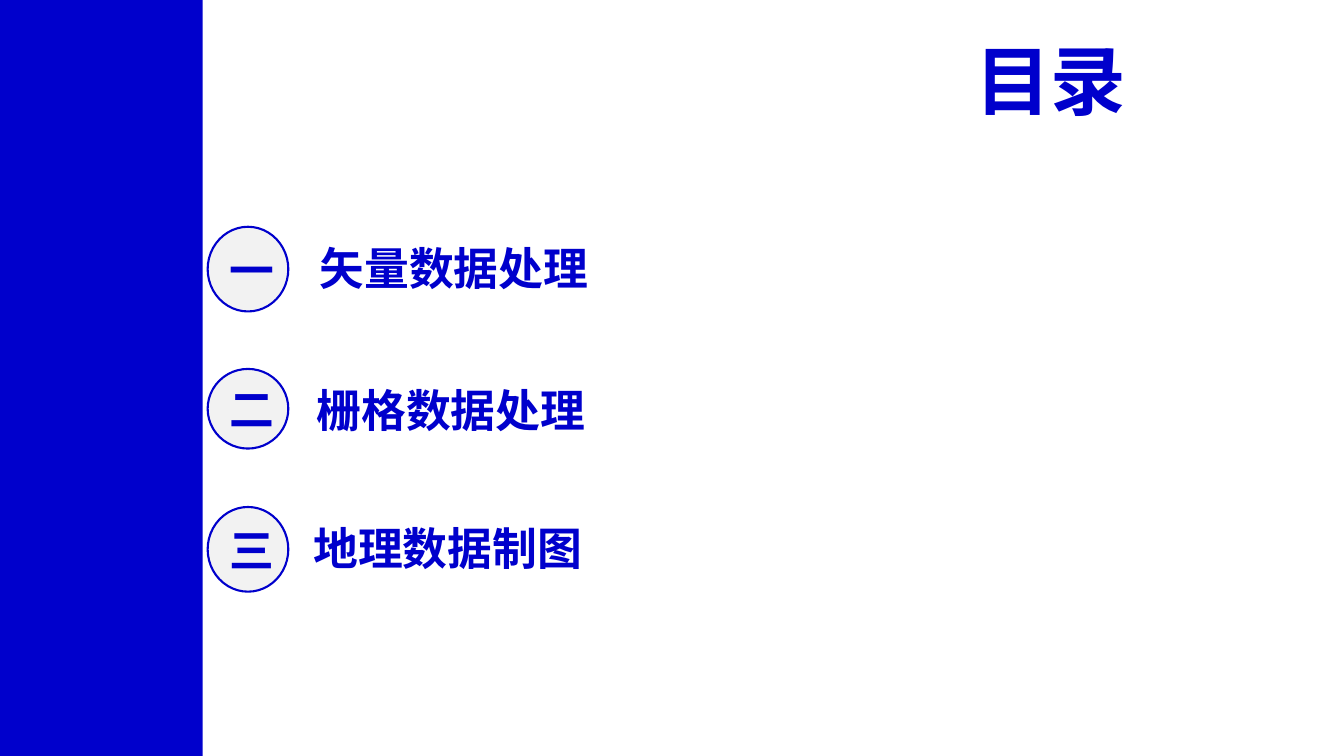
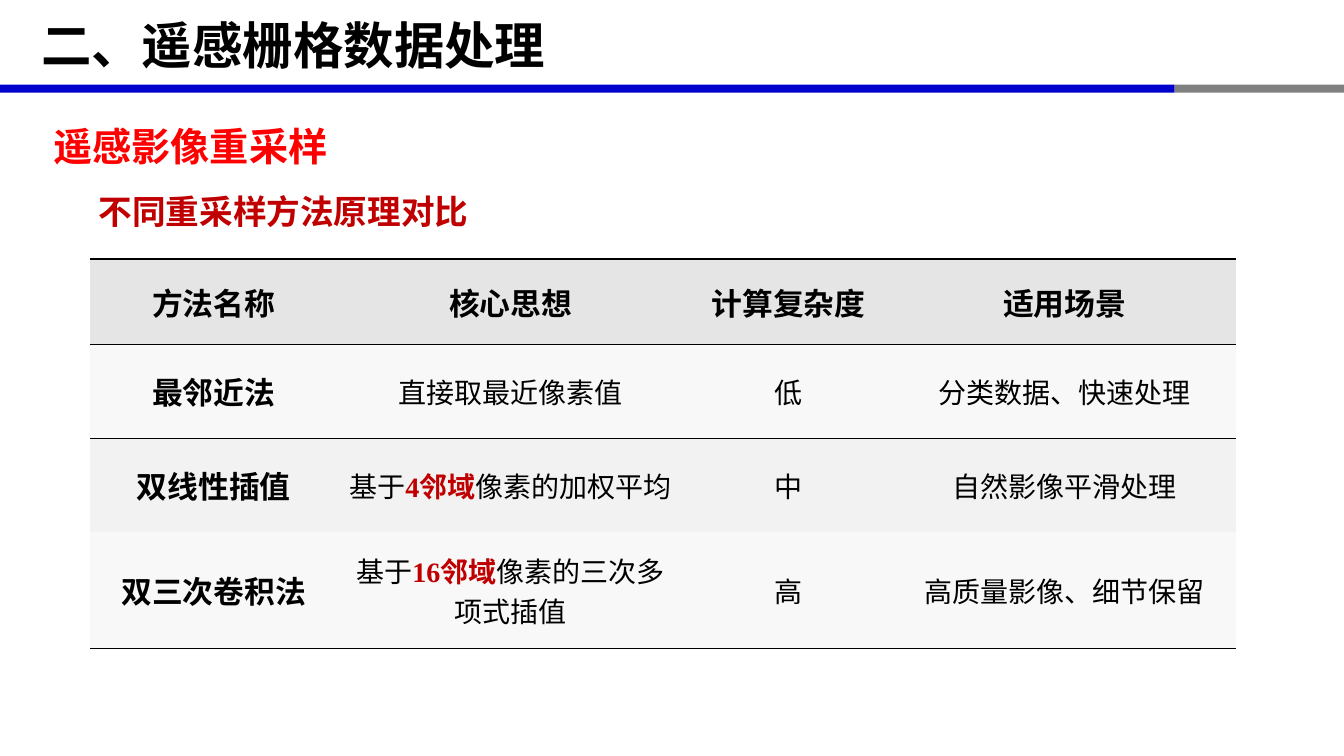
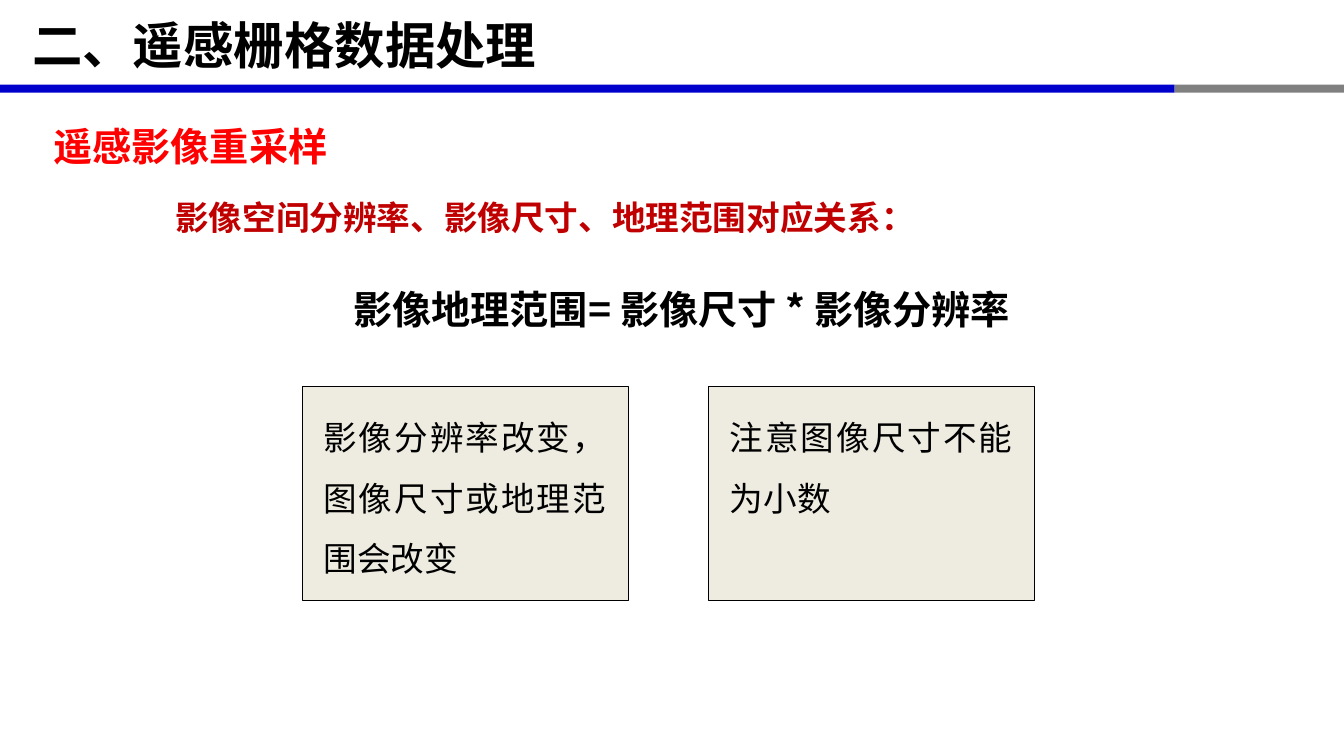
"""Build three slides on vector and raster data processing."""
from dataclasses import dataclass

from lxml.etree import SubElement
from pptx import Presentation
from pptx.dml.color import RGBColor as Rgb
from pptx.enum.shapes import MSO_SHAPE as Shape
from pptx.enum.text import MSO_ANCHOR as Anchor, MSO_AUTO_SIZE as Fit, PP_ALIGN as Align
from pptx.oxml.ns import qn
from pptx.util import Emu, Pt


@dataclass(frozen=True)
class Theme:
    blue: str = "0000CC"
    gray: str = "808080"
    black: str = "000000"
    red: str = "FF0000"
    crimson: str = "C00000"
    badge: str = "F2F2F2"
    card: str = "EEECE1"
    header_row: str = "E5E5E5"
    body_rows: tuple = ("F8F8F8", "F2F2F2")
    cjk: str = "Noto Sans CJK SC"
    sans: str = "Arial"
    serif: str = "Times New Roman"
    cover: int = 54
    title: int = 36
    agenda: int = 32
    topic: int = 28
    body: int = 24
    table_head: int = 22
    table_body: int = 20


THEME = Theme()
PX = 9144
NO_STYLE_TABLE = "{2D5ABB26-0587-4C30-8999-92F81FD0307C}"


def place(page, area, kind=None, fill=None, line=None, weight=0.75):
    """Add a preset shape, or a text box when no kind is given."""
    spot = [Emu(value * PX) for value in area]
    if kind is None:
        box = page.shapes.add_textbox(*spot)
        box.text_frame.word_wrap = True
        box.text_frame.auto_size = Fit.SHAPE_TO_FIT_TEXT
        return box
    box = page.shapes.add_shape(kind, *spot)
    box.shadow.inherit = False
    box.fill.solid()
    box.fill.fore_color.rgb = Rgb.from_string(fill)
    if line:
        box.line.color.rgb = Rgb.from_string(line)
        box.line.width = Pt(weight)
    else:
        box.line.fill.background()
    return box


def write(frame, parts, size, color=THEME.black, bold=True, align=Align.LEFT,
          face=THEME.cjk, spacing=None, anchor=None):
    """Fill one paragraph; every second part is emphasised."""
    para = frame.paragraphs[0]
    para.alignment = align
    if spacing:
        para.line_spacing = spacing
    if anchor is not None:
        frame.vertical_anchor = anchor
    font = para.font
    font.size, font.bold, font.name = Pt(size), bold, face
    font.color.rgb = Rgb.from_string(color)
    SubElement(font._element, qn("a:ea")).set("typeface", THEME.cjk)
    for index, part in enumerate(parts):
        span = para.add_run()
        span.text = part
        if index % 2:
            span.font.bold = True
            span.font.color.rgb = Rgb.from_string(THEME.crimson)


deck = Presentation()
deck.slide_width, deck.slide_height = Emu(1333 * PX), Emu(750 * PX)
blank = deck.slide_layouts[6]
agenda_page, table_page, relation_page = [deck.slides.add_slide(blank) for _ in range(3)]

place(agenda_page, (0, 0, 201, 750), Shape.RECTANGLE, THEME.blue)
heading = place(agenda_page, (951, 29, 176, 101))
heading.text_frame.word_wrap = False
write(heading.text_frame, ["目录"], THEME.cover, THEME.blue, align=Align.RIGHT, face=THEME.sans)

agenda = [
    ("一", "矢量数据处理", 225, 84, 307),
    ("二", "栅格数据处理", 366, 79, 304),
    ("三", "地理数据制图", 503, 84, 301),
]
for number, topic, top, height, left in agenda:
    badge = place(agenda_page, (206, top, 80, height), Shape.OVAL, THEME.badge, THEME.blue, 1.5)
    write(badge.text_frame, [number], THEME.agenda, THEME.blue, align=Align.CENTER,
          anchor=Anchor.MIDDLE)
    label = place(agenda_page, (left, top + 8, 600, 64))
    write(label.text_frame, [topic], THEME.agenda, THEME.blue, face=THEME.sans,
          anchor=Anchor.MIDDLE)

for page, title_left in ((table_page, 31), (relation_page, 22)):
    place(page, (0, 84, 1165, 8), Shape.RECTANGLE, THEME.blue)
    place(page, (1165, 84, 168, 8), Shape.RECTANGLE, THEME.gray)
    title = place(page, (title_left, 1, 1122, 87))
    title.text_frame.auto_size = Fit.NONE
    write(title.text_frame, ["二、遥感栅格数据处理"], THEME.title, anchor=Anchor.MIDDLE)
    topic = place(page, (43, 93, 1089, 72))
    write(topic.text_frame, ["遥感影像重采样"], THEME.topic, THEME.red,
          align=Align.JUSTIFY, spacing=1.5)

subtitle = place(table_page, (88, 184, 592, 50))
write(subtitle.text_frame, ["不同重采样方法原理对比"], THEME.body, THEME.crimson)

methods = [
    (["方法名称"], ["核心思想"], ["计算复杂度"], ["适用场景"]),
    (["最邻近法"], ["直接取最近像素值"], ["低"], ["分类数据、快速处理"]),
    (["双线性插值"], ["基于", "4邻域", "像素的加权平均"], ["中"], ["自然影像平滑处理"]),
    (["双三次卷积法"], ["基于", "16邻域", "像素的三次多项式插值"], ["高"], ["高质量影像、细节保留"]),
]
widths, heights = (246, 343, 208, 340), (85, 93, 93, 115)
ruled_edges = {0: ("a:lnT", "a:lnB"), 1: ("a:lnT",), 3: ("a:lnB",)}
spot = [Emu(value * PX) for value in (89, 257, sum(widths), sum(heights))]
table = table_page.shapes.add_table(len(heights), len(widths), *spot).table
table.first_row = table.horz_banding = False
table._tbl.tblPr.find(qn("a:tableStyleId")).text = NO_STYLE_TABLE
for column, width in zip(table.columns, widths):
    column.width = Emu(width * PX)
for row_index, (method, height) in enumerate(zip(methods, heights)):
    table.rows[row_index].height = Emu(height * PX)
    shade = THEME.body_rows[(row_index - 1) % 2] if row_index else THEME.header_row
    for column_index, parts in enumerate(method):
        cell = table.cell(row_index, column_index)
        strong = row_index == 0 or column_index == 0
        write(cell.text_frame, parts, THEME.table_head if strong else THEME.table_body,
              bold=strong, align=Align.CENTER, face=THEME.serif)
        cell.vertical_anchor = Anchor.MIDDLE
        properties = cell._tc.get_or_add_tcPr()
        for edge in ruled_edges.get(row_index, ()):
            rule = SubElement(properties, qn(edge), w=str(Pt(1)))
            SubElement(SubElement(rule, qn("a:solidFill")), qn("a:srgbClr"), val=THEME.black)
        cell.fill.solid()
        cell.fill.fore_color.rgb = Rgb.from_string(shade)

subtitle = place(relation_page, (164, 190, 940, 50))
write(subtitle.text_frame, ["影像空间分辨率、影像尺寸、地理范围对应关系："], THEME.body,
      THEME.crimson, align=Align.JUSTIFY)
formula = place(relation_page, (199, 278, 954, 57))
write(formula.text_frame, ["影像地理范围= 影像尺寸 * 影像分辨率"], THEME.topic, align=Align.CENTER)

cards = [("影像分辨率改变，图像尺寸或地理范围会改变", 185), ("注意图像尺寸不能为小数", 124)]
for index, (remark, height) in enumerate(cards):
    left = 300 + index * 403
    place(relation_page, (left, 383, 323, 213), Shape.RECTANGLE, THEME.card, THEME.black)
    note = place(relation_page, (left + 11, 389, 300, height))
    write(note.text_frame, [remark], THEME.body, bold=False, align=Align.JUSTIFY, spacing=1.5)

deck.save("out.pptx")
